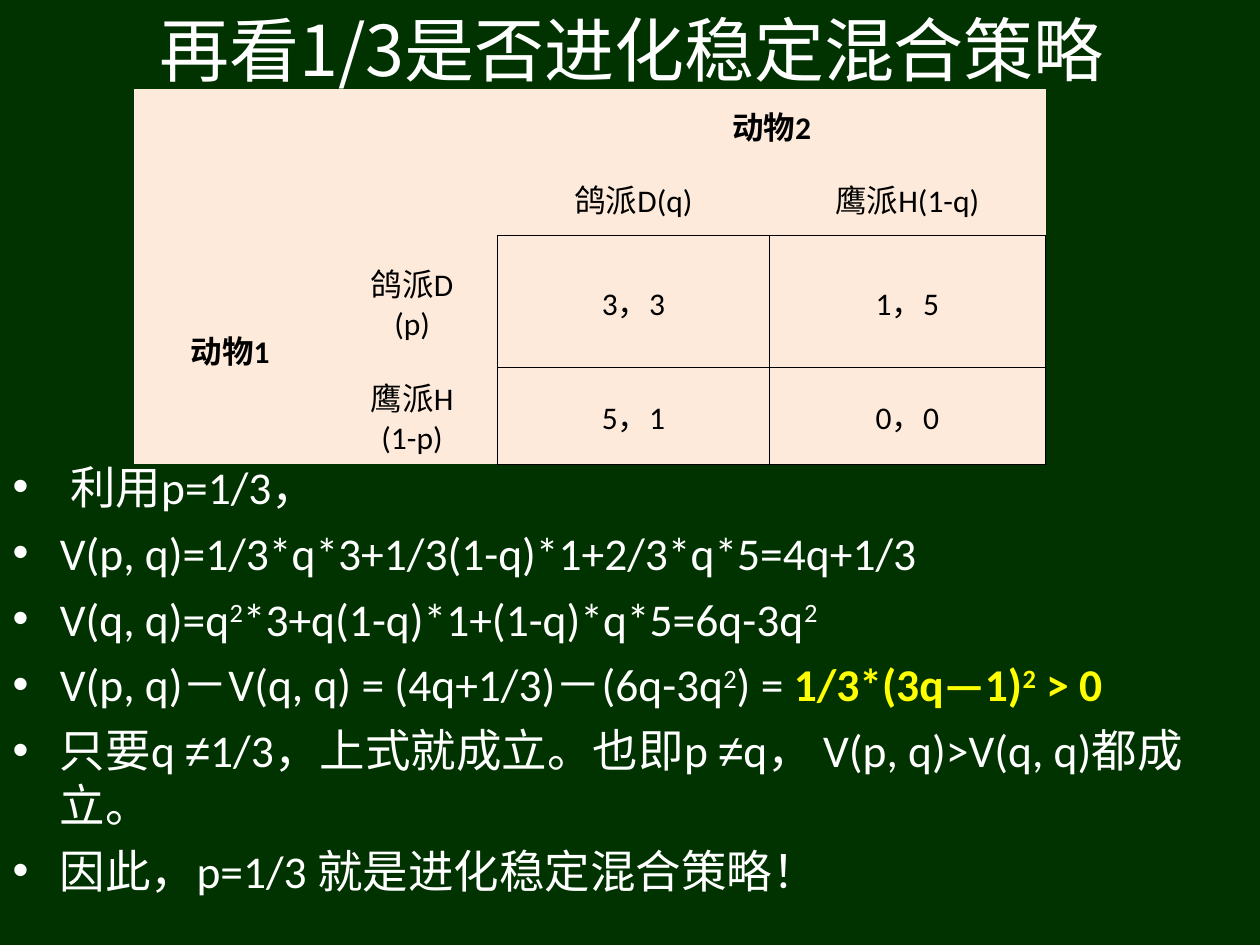
from lxml import etree
from pptx import Presentation
from pptx.dml.color import RGBColor
from pptx.enum.text import MSO_ANCHOR, MSO_AUTO_SIZE, PP_ALIGN
from pptx.oxml.ns import qn
from pptx.util import Pt

MIDDLE, CENTER = MSO_ANCHOR.MIDDLE, PP_ALIGN.CENTER
NO_FIT = MSO_AUTO_SIZE.NONE
COLORS = {"back": "003300", "text": "FFFFFF", "hot": "FFFF00",
          "cell": "FDEADA", "ink": "000000"}
PLAIN_STYLE = "{2D5ABB26-0587-4C30-8999-92F81FD0307C}"

WIDTHS = [110, 98, 155, 158]
HEIGHTS = [41.8, 41.8, 75.6, 50.4]
CELLS = [
    ["", "", "动物2", ""],
    ["", "", "鸽派D(q)", "鹰派H(1-q)"],
    ["动物1", "鸽派D\n(p)", "3，3", "1，5"],
    ["", "鹰派H\n(1-p)", "5，1", "0，0"],
]
HEADS = {"动物1", "动物2"}

# Each run is its text and its style marks: sup, hot, sign
POINTS = [
    [(" 利用p=1/3，", "")],
    [("V(p, q)=1/3*q*3+1/3(1-q)*1+2/3*q*5=4q+1/3", "")],
    [("V(q, q)=q", ""), ("2", "sup"), ("*3+q(1-q)*1+(1-q)*q*5=6q-3q", ""),
     ("2", "sup")],
    [("V(p, q)－V(q, q) = (4q+1/3)－(6q-3q", ""), ("2", "sup"), (") = ", ""),
     ("1/3*(3q—1)", "hot"), ("2", "hot sup"), (" > 0", "hot")],
    [("只要q ", ""), ("≠", "sign"), ("1/3，上式就成立。也即p ", ""),
     ("≠", "sign"), ("q， V(p, q)>V(q, q)都成立。", "")],
    [("因此，p=1/3 就是进化稳定混合策略！", "")],
]


def color(name):
    return RGBColor.from_string(COLORS[name])


def set_font(font, name, size, tint, bold=False):
    font.name, font.size, font.bold = name, Pt(size), bold
    font.color.rgb = color(tint)


def place(shape, left, top, width, height):
    shape.left, shape.top = Pt(left), Pt(top)
    shape.width, shape.height = Pt(width), Pt(height)


def add_fill(parent, tag, tint):
    """Append an element that holds a colour, wrapped as its tag needs."""
    node = etree.SubElement(parent, qn(tag))
    etree.SubElement(node, qn("a:srgbClr")).set("val", COLORS[tint])


def set_title(shape, text):
    place(shape, 37, 0, 648, 55)
    frame = shape.text_frame
    frame.text = text
    frame.auto_size, frame.vertical_anchor = NO_FIT, MIDDLE
    para = frame.paragraphs[0]
    para.alignment = CENTER
    set_font(para.font, "Noto Sans CJK SC", 40, "text")


def add_run(para, text, marks):
    run = para.add_run()
    run.text = text
    if "hot" in marks:
        run.font.bold = True
        run.font.color.rgb = color("hot")
    if "sign" in marks:
        run.font.name = "Arial"
    if "sup" in marks:
        run._r.get_or_add_rPr().set("baseline", "30000")


def set_list(shape, points):
    place(shape, 0, 258.5, 705.6, 283.7)
    frame = shape.text_frame
    frame.auto_size = NO_FIT
    for i, runs in enumerate(points):
        para = frame.add_paragraph() if i else frame.paragraphs[0]
        para.space_before = Pt(6.5 if i else 0)
        add_fill(para._p.get_or_add_pPr(), "a:buClr", "text")
        set_font(para.font, "Calibri", 26, "text")
        for text, marks in runs:
            add_run(para, text, marks)


def sides(row, col):
    """Edges to rule: the payoff cells are boxed, their neighbours match."""
    if row > 1 and col > 1:
        return "LRTB"
    if row > 1 and col == 1:
        return "R"
    return "B" if row == 1 and col > 1 else ""


def set_cell(cell, text, edges):
    props = cell._tc.get_or_add_tcPr()
    for edge in edges:
        line = etree.SubElement(props, qn("a:ln" + edge))
        line.set("w", str(Pt(0.45)))
        add_fill(line, "a:solidFill", "ink")
    cell.fill.solid()
    cell.fill.fore_color.rgb = color("cell")
    cell.vertical_anchor = MIDDLE
    if text:
        cell.text = text
        for para in cell.text_frame.paragraphs:
            para.alignment = CENTER
            set_font(para.font, "Calibri", 18, "ink", text in HEADS)


def add_payoffs(slide):
    frame = slide.shapes.add_table(
        len(HEIGHTS), len(WIDTHS), Pt(76.5), Pt(51),
        Pt(sum(WIDTHS)), Pt(sum(HEIGHTS)))
    table = frame.table
    table.first_row = table.horz_banding = False
    table._tbl.tblPr.find(qn("a:tableStyleId")).text = PLAIN_STYLE
    for col, width in zip(table.columns, WIDTHS):
        col.width = Pt(width)
    for row, height in zip(table.rows, HEIGHTS):
        row.height = Pt(height)
    table.cell(0, 2).merge(table.cell(0, 3))
    table.cell(2, 0).merge(table.cell(3, 0))
    for r, texts in enumerate(CELLS):
        for c, text in enumerate(texts):
            set_cell(table.cell(r, c), text, sides(r, c))


def main():
    deck = Presentation()
    deck.slide_width, deck.slide_height = Pt(720), Pt(540)
    slide = deck.slides.add_slide(deck.slide_layouts[1])
    back = slide.background.fill
    back.solid()
    back.fore_color.rgb = color("back")
    set_title(slide.shapes.title, "再看1/3是否进化稳定混合策略")
    set_list(slide.placeholders[1], POINTS)
    add_payoffs(slide)
    deck.save("out.pptx")


if __name__ == "__main__":
    main()
